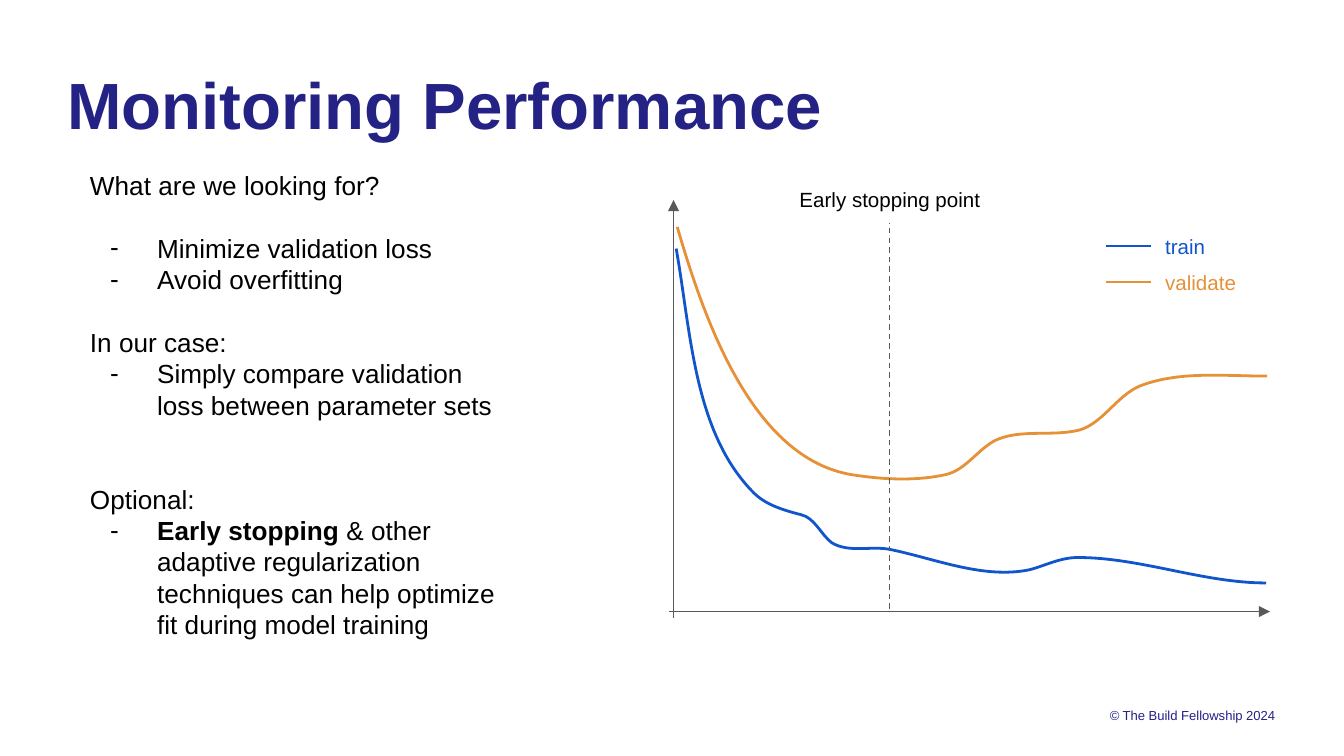
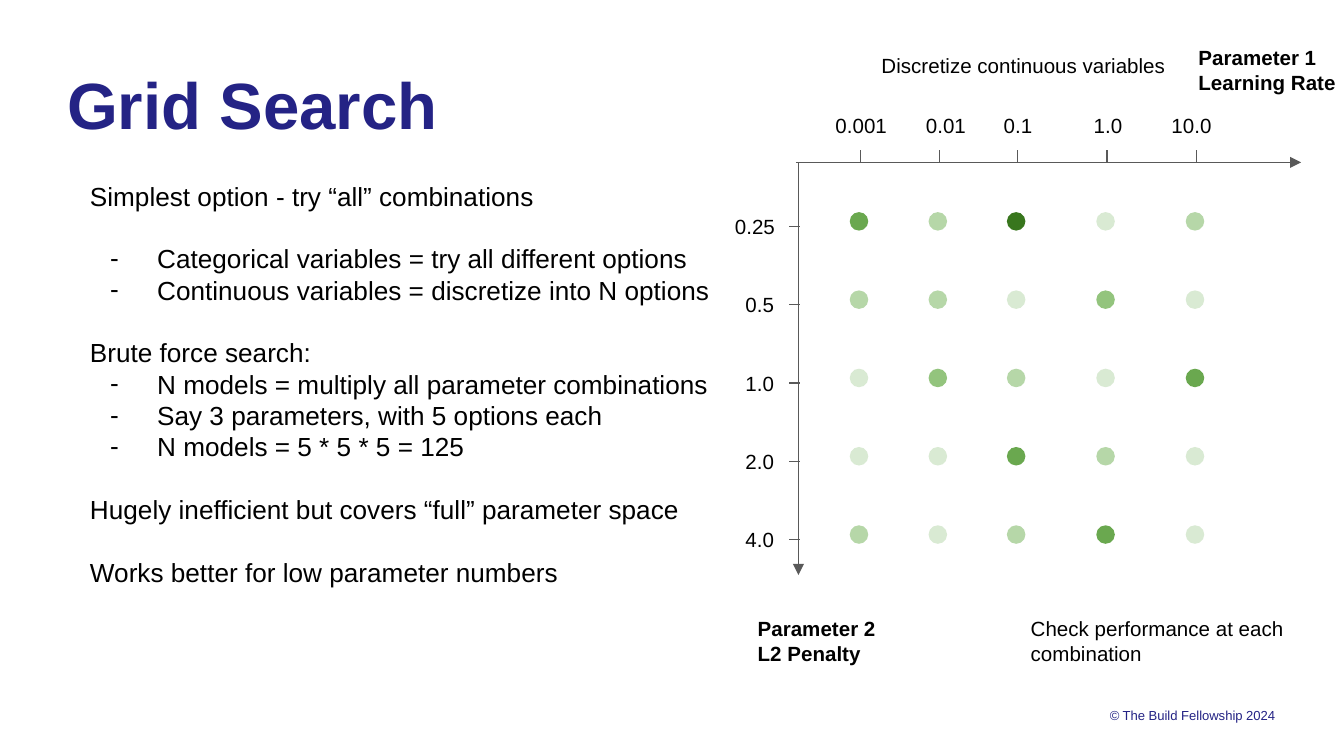
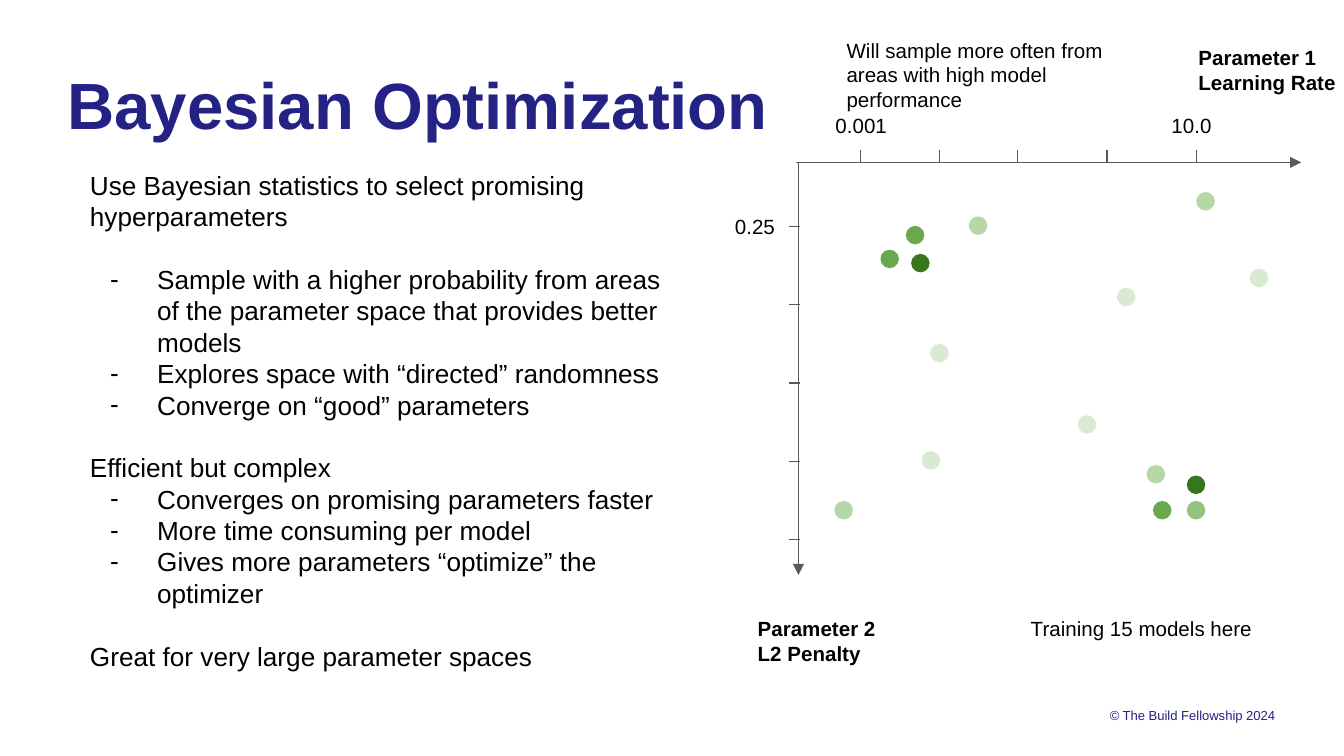
"""Build three slides on tuning hyperparameters."""
from itertools import product

from lxml.etree import SubElement as Sub
from pptx import Presentation as Deck
from pptx.dml.color import RGBColor as RGB
from pptx.enum.dml import MSO_LINE as Dash
from pptx.enum.shapes import MSO_CONNECTOR as Conn, MSO_SHAPE as Form
from pptx.enum.text import MSO_ANCHOR as Anchor, MSO_AUTO_SIZE as Auto, PP_ALIGN as Align
from pptx.oxml.ns import qn
from pptx.util import Cm, Pt

NAVY = RGB(0x24, 0x23, 0x85)
BLACK = RGB(0x00, 0x00, 0x00)
GREY = RGB(0x59, 0x59, 0x59)
BLUE = RGB(0x11, 0x55, 0xCC)
AMBER = RGB(0xE6, 0x91, 0x38)
GREENS = [
    RGB(0xD9, 0xEA, 0xD3),
    RGB(0xB6, 0xD7, 0xA8),
    RGB(0x93, 0xC4, 0x7D),
    RGB(0x6A, 0xA8, 0x4F),
    RGB(0x38, 0x76, 0x1D),
]

COLS = [16.26, 17.75, 19.23, 20.92, 22.61]
ROWS = [4.28 + 1.48 * i for i in range(5)]
COL_TEXT = [15.54, 17.25, 18.72, 20.42, 21.89]
ROW_TEXT = [13.64] + [13.84] * 4
GRID = ["31401", "11020", "02103", "00310", "10130"]

TRAIN = [
    (12.78, 4.7),
    (13.06, 6.27), (13.11, 8.18), (14.25, 9.32),
    (14.48, 9.55), (14.83, 9.65), (15.14, 9.73),
    (15.39, 9.78), (15.52, 10.11), (15.72, 10.26),
    (16.05, 10.46), (16.48, 10.31), (16.84, 10.39),
    (17.7, 10.57), (18.59, 10.95), (19.46, 10.77),
    (19.76, 10.69), (20.04, 10.54), (20.37, 10.54),
    (21.56, 10.54), (22.73, 11.02), (23.93, 11.02),
]
VALID = [
    (12.8, 4.29),
    (13.34, 6.15), (14.27, 8.76), (16.21, 8.99),
    (16.76, 9.07), (17.35, 9.09), (17.88, 8.97),
    (18.24, 8.89), (18.47, 8.51), (18.8, 8.33),
    (19.28, 8.1), (19.86, 8.26), (20.4, 8.13),
    (20.85, 8), (21.11, 7.47), (21.56, 7.29),
    (22.3, 7.01), (23.14, 7.11), (23.95, 7.11),
]
SAMPLES = [
    (16.64, 4.72, 3), (22.43, 9.47, 2), (17.42, 8.53, 0), (15.77, 9.47, 1),
    (18.31, 4.09, 1), (17.58, 6.5, 0), (21.67, 8.79, 1), (20.37, 7.85, 0),
    (21.11, 5.44, 0), (23.62, 5.08, 0), (17.22, 4.8, 4), (21.79, 9.47, 3),
    (22.61, 3.63, 1), (17.12, 4.27, 3), (22.43, 8.99, 4),
]


def put(item, **vals):
    """Set attributes of an item from format values."""
    for name, val in vals.items():
        setattr(item, name, val)


class Kit:
    """Hold the style and the current slide."""

    face = "Arial"

    def __init__(self):
        """Open an empty deck."""
        self.deck = Deck()
        put(self.deck, slide_width=Cm(25.4), slide_height=Cm(14.29))
        self.slide = None

    def page(self, title, size):
        """Start a slide with its title and footer."""
        self.slide = self.deck.slides.add_slide(self.deck.slide_layouts[1])
        head = self.slide.shapes.title
        self.place(head, (1.27, 1.22, *size))
        self.frame(head.text_frame, 0, Anchor.TOP)
        para = head.text_frame.paragraphs[0]
        para.alignment = Align.LEFT
        self.run(para, title, 35, NAVY, True)
        self.text((1.27, 13.31, 22.83, 0.41), ["© The Build Fellowship 2024"], 7, NAVY,
                  pad=0, anchor=Anchor.MIDDLE, align=Align.RIGHT)

    def place(self, shape, at):
        """Move and size a shape."""
        put(shape, **dict(zip(("left", "top", "width", "height"), map(Cm, at))))

    def frame(self, frame, pad, anchor):
        """Format a text frame."""
        put(frame, word_wrap=True, auto_size=Auto.NONE, vertical_anchor=anchor)
        put(frame, **{f"margin_{side}": Cm(pad) for side in ("left", "top", "right", "bottom")})

    def run(self, para, text, size, color, bold=False):
        """Add a run of text."""
        run = para.add_run()
        run.text = text
        put(run.font, name=self.face, size=Pt(size), bold=bold)
        run.font.color.rgb = color

    def text(self, at, lines, size=11, color=BLACK, bold=False, pad=0.25,
             anchor=Anchor.TOP, align=Align.LEFT):
        """Add a text box."""
        frame = self.slide.shapes.add_textbox(*map(Cm, at)).text_frame
        self.frame(frame, pad, anchor)
        for i, line in enumerate(lines):
            para = frame.add_paragraph() if i else frame.paragraphs[0]
            put(para, alignment=align, line_spacing=Pt(1.2 * size))
            self.run(para, line, size, color, bold)

    def label(self, left, top, text, color=BLACK, wide=1.8, high=0.56):
        """Add a one-line label centred on its height."""
        self.text((left, top, wide, high), [text], color=color, anchor=Anchor.MIDDLE)

    def body(self, at, groups, size=14):
        """Fill the body with groups of lines, one line height apart."""
        shape = self.slide.placeholders[1]
        self.place(shape, at)
        frame = shape.text_frame
        self.frame(frame, 0.25, Anchor.TOP)
        para, step, gap = None, 1.2 * size, 0
        for group in groups:
            for line in group:
                para = frame.add_paragraph() if para else frame.paragraphs[0]
                self.mark(para, line.startswith("- "))
                put(para, alignment=Align.LEFT, line_spacing=Pt(step),
                    space_before=Pt(gap), space_after=Pt(0))
                for i, part in enumerate(line.removeprefix("- ").split("**")):
                    if part:
                        self.run(para, part, size, BLACK, i % 2 == 1)
                gap = 0
            gap += step

    def mark(self, para, dash):
        """Set the indent and the dash of a paragraph."""
        props = para._p.get_or_add_pPr()
        props.set("marL", str(Cm(1.27) if dash else 0))
        props.set("indent", str(Cm(-0.89) if dash else 0))
        if dash:
            Sub(Sub(props, qn("a:buClr")), qn("a:srgbClr"), val=str(BLACK))
            Sub(props, qn("a:buFont"), typeface=self.face)
            Sub(props, qn("a:buChar"), char="-")
        else:
            Sub(props, qn("a:buNone"))

    def line(self, ends, color=GREY, width=0.75, arrow=False, dash=None):
        """Add a straight line."""
        line = self.slide.shapes.add_connector(Conn.STRAIGHT, *map(Cm, ends))
        put(line.line, width=Pt(width), dash_style=dash)
        line.line.color.rgb = color
        props = line._element.spPr
        if arrow:
            Sub(props.find(qn("a:ln")), qn("a:tailEnd"), type="triangle")
        Sub(props, qn("a:effectLst"))

    def curve(self, points, color):
        """Add a smooth curve: a start, then three points for each part."""
        start, *rest = [(Cm(x), Cm(y)) for x, y in points]
        pen = self.slide.shapes.build_freeform(*start)
        pen.add_line_segments(rest, close=False)
        shape = pen.convert_to_shape()
        shape.shadow.inherit = False
        shape.fill.background()
        shape.line.width = Pt(1.5)
        shape.line.color.rgb = color
        trace = next(shape._element.iter(qn("a:path")))
        steps = trace.findall(qn("a:lnTo"))
        for i in range(0, len(steps), 3):
            bend = Sub(trace, qn("a:cubicBezTo"))
            for step in steps[i:i + 3]:
                bend.append(step[0])
                trace.remove(step)

    def dot(self, left, top, level):
        """Add a dot whose green shows the score."""
        dot = self.slide.shapes.add_shape(Form.OVAL, *map(Cm, (left, top, 0.35, 0.35)))
        dot.shadow.inherit = False
        dot.fill.solid()
        dot.fill.fore_color.rgb = GREENS[level]
        dot.line.fill.background()

    def axes(self, cols, rows):
        """Draw both parameter axes with ticks and labels."""
        self.line((15.04, 3.07, 24.59, 3.07), arrow=True)
        self.line((15.09, 3.07, 15.09, 10.87), arrow=True)
        self.text((22.4, 0.61, 3.96, 0.79), ["Parameter 1 Learning Rate"], bold=True)
        self.text((14.07, 11.4, 3.35, 0.79), ["Parameter 2", "L2 Penalty"], bold=True)
        for y in ROWS:
            self.line((15.11, y, 14.91, y))
        for x in COLS:
            self.line((x, 3.07, x, 2.84))
        for left, text in zip(COL_TEXT, cols):
            if text:
                self.label(left, 2.08, text)
        for left, y, text in zip(ROW_TEXT, ROWS, rows):
            if text:
                self.label(left, y - 0.28, text)


def watch(kit):
    """Build the slide on the loss curves."""
    kit.page("Monitoring Performance", (18.49, 2.92))
    kit.body((1.45, 2.95, 8.43, 9.04), [
        ["What are we looking for?"],
        ["- Minimize validation loss", "- Avoid overfitting"],
        ["In our case:", "- Simply compare validation loss between parameter sets"],
        [],
        ["Optional:", "- **Early stopping** & other adaptive regularization "
                      "techniques can help optimize fit during model training"],
    ])
    kit.line((12.73, 11.68, 12.73, 3.78), arrow=True)
    kit.line((12.65, 11.56, 24, 11.56), arrow=True)
    kit.curve(TRAIN, BLUE)
    kit.curve(VALID, AMBER)
    for text, y, color in (("train", 4.65, BLUE), ("validate", 5.33, AMBER)):
        kit.line((20.9, y, 21.75, y), color, 1.5)
        kit.label(21.77, y - 0.42, text, color, 3.12, 0.84)
    kit.line((16.81, 11.51, 16.81, 4.22), dash=Dash.DASH)
    kit.text((14.86, 3.28, 4.9, 0.89), ["Early stopping point"])


def grid(kit):
    """Build the slide on grid search."""
    kit.page("Grid Search", (9.25, 1.93))
    kit.body((1.45, 3.15, 12.27, 9.04), [
        ["Simplest option - try “all” combinations"],
        ["- Categorical variables = try all different options",
         "- Continuous variables = discretize into N options"],
        ["Brute force search:",
         "- N models = multiply all parameter combinations",
         "- Say 3 parameters, with 5 options each",
         "- N models = 5 * 5 * 5 = 125"],
        ["Hugely inefficient but covers “full” parameter space"],
        ["Works better for low parameter numbers"],
    ])
    kit.axes(["0.001", "0.01", "0.1", "1.0", "10.0"], ["0.25", "0.5", "1.0", "2.0", "4.0"])
    kit.text((16.41, 0.76, 7.06, 0.66), ["Discretize continuous variables"])
    for c, r in product(range(5), repeat=2):
        kit.dot(COLS[c] - 0.2, ROWS[r] - 0.27, int(GRID[r][c]))
    kit.text((19.23, 11.4, 5.51, 1.02), ["Check performance at each combination"])


def bayes(kit):
    """Build the slide on Bayesian optimization."""
    kit.page("Bayesian Optimization", (18.49, 2.92))
    kit.body((1.45, 2.95, 11.71, 9.04), [
        ["Use Bayesian statistics to select promising hyperparameters"],
        ["- Sample with a higher probability from areas of the parameter space "
         "that provides better models",
         "- Explores space with “directed” randomness",
         "- Converge on “good” parameters"],
        ["Efficient but complex",
         "- Converges on promising parameters faster",
         "- More time consuming per model",
         "- Gives more parameters “optimize” the optimizer"],
        ["Great for very large parameter spaces"],
    ])
    kit.axes(["0.001", "", "", "", "10.0"], ["0.25"])
    kit.text((15.75, 0.46, 6.2, 0.66),
             ["Will sample more often from areas with high model performance"])
    for sample in SAMPLES:
        kit.dot(*sample)
    kit.text((19.23, 11.4, 5.51, 1.02), ["Training 15 models here"])


def main():
    """Build and save the deck."""
    kit = Kit()
    for build in (watch, grid, bayes):
        build(kit)
    kit.deck.save("out.pptx")


if __name__ == "__main__":
    main()
